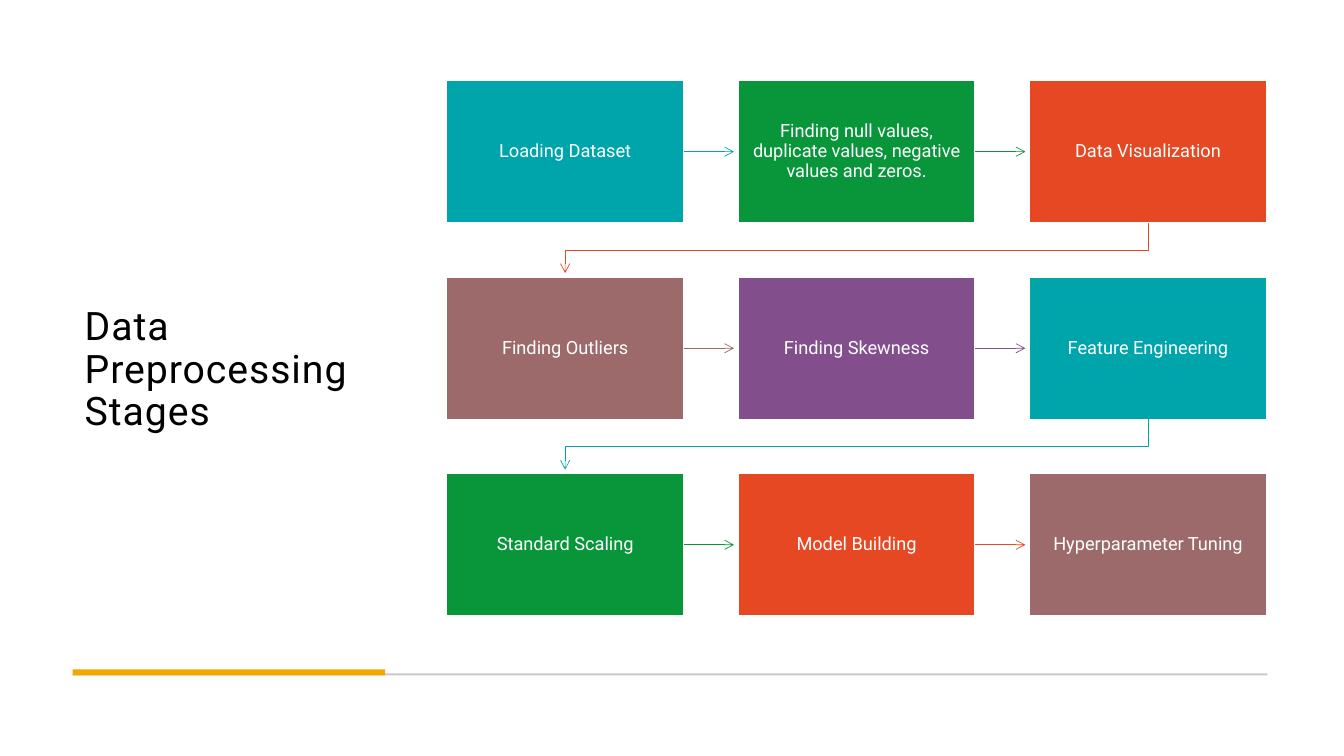
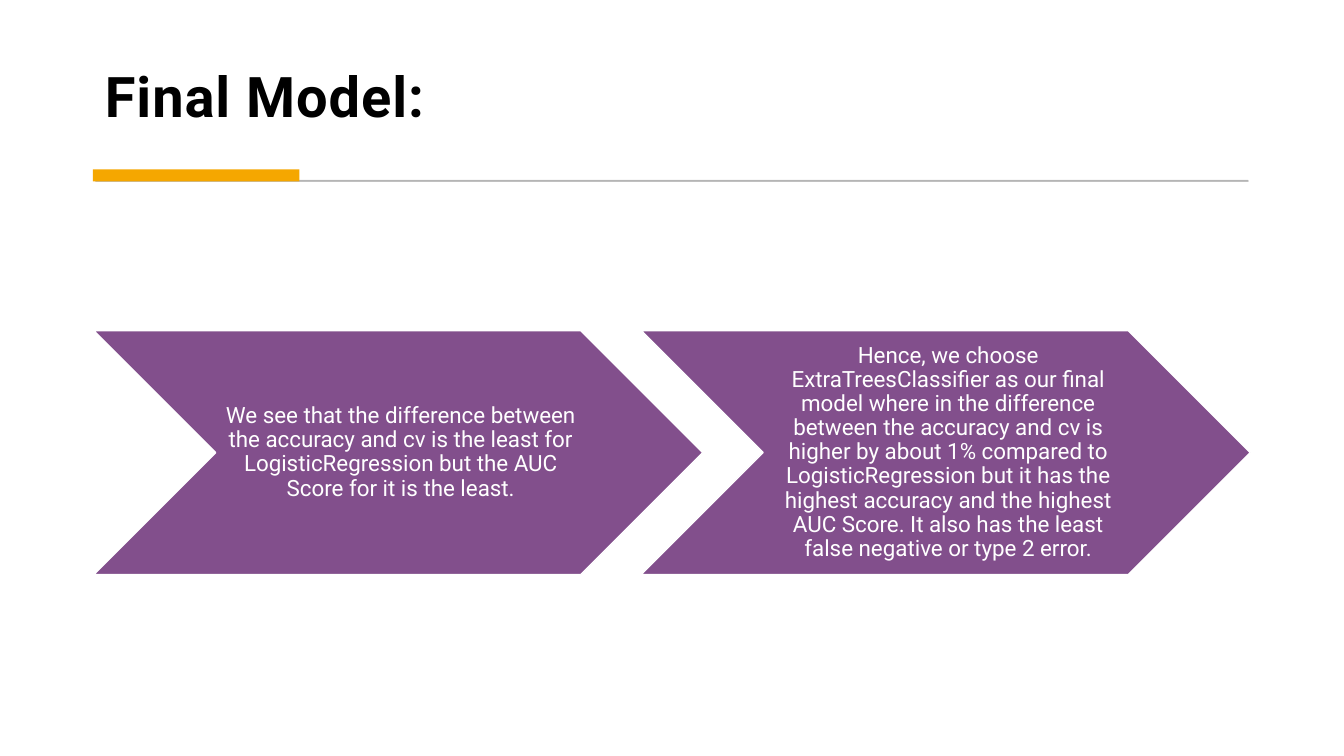
from lxml import etree
from pptx import Presentation
from pptx import util as u
from pptx.dml.color import RGBColor
from pptx.enum import shapes, text
from pptx.oxml.ns import qn

FONT = "Roboto"
BLACK, WHITE, ACCENT = "000000", "FFFFFF", "F5A700"
PURPLE = "824F8C"
STAGE_COLOURS = ["00A5AB", "09963B", "E64823", "9C6A6A", PURPLE]
TITLE_INSETS = (0.12, 0.12, 0.12, 0.1)

STAGES = [
    "Loading Dataset",
    "Finding null values, duplicate values, negative values and zeros.",
    "Data Visualization",
    "Finding Outliers",
    "Finding Skewness",
    "Feature Engineering",
    "Standard Scaling",
    "Model Building",
    "Hyperparameter Tuning",
]
FINDINGS = [
    "We see that the difference between the accuracy and cv is the least for "
    "LogisticRegression but the AUC Score for it is the least.",
    "Hence, we choose ExtraTreesClassifier as our final model where in the difference "
    "between the accuracy and cv is higher by about 1% compared to LogisticRegression "
    "but it has the highest accuracy and the highest AUC Score. It also has the least "
    "false negative or type 2 error.",
]


def rgb(colour):
    return RGBColor.from_string(colour)


def inches(*lengths):
    return [u.Inches(n) for n in lengths]


def write(sp, content, size, colour=WHITE, bold=False, align=text.PP_ALIGN.CENTER,
          anchor=text.MSO_ANCHOR.MIDDLE, insets=(0.12,) * 4, spacing=0):
    """Fill a shape with one paragraph; spacing is in points between letters."""
    tf = sp.text_frame
    tf.word_wrap = True
    tf.vertical_anchor = anchor
    tf.margin_left, tf.margin_top, tf.margin_right, tf.margin_bottom = inches(*insets)
    p = tf.paragraphs[0]
    p.alignment, p.line_spacing = align, 0.9
    r = p.add_run()
    r.text = content
    r.font.name, r.font.size, r.font.bold = FONT, u.Pt(size), bold
    r.font.color.rgb = rgb(colour)
    if spacing:
        r.font._element.set("spc", str(round(spacing * 100)))


def add_block(s, box, fill, line=None, width=1, kind=shapes.MSO_SHAPE.RECTANGLE):
    sp = s.shapes.add_shape(kind, *inches(*box))
    sp.shadow.inherit = False
    sp.fill.solid()
    sp.fill.fore_color.rgb = rgb(fill)
    if line:
        sp.line.color.rgb = rgb(line)
        sp.line.width = u.Pt(width)
    else:
        sp.line.fill.background()
    return sp


def set_alpha(sp, percent):
    for clr in sp._element.spPr.iter(qn("a:srgbClr")):
        etree.SubElement(clr, qn("a:alpha"), val=str(percent * 1000))


def add_title(s, box, content, size, **style):
    write(s.shapes.add_textbox(*inches(*box)), content, size, colour=BLACK,
          align=text.PP_ALIGN.LEFT, insets=TITLE_INSETS, spacing=0.7, **style)


def style_arrow(sp, colour):
    sp.line.color.rgb = rgb(colour)
    sp.line.width = u.Pt(0.5)
    etree.SubElement(sp.line._get_or_add_ln(), qn("a:tailEnd"), type="arrow")


def add_straight_arrow(s, start, end, gap, colour):
    """Arrow from the right side of start to just short of end."""
    y = start.top + start.height // 2
    cx = s.shapes.add_connector(shapes.MSO_CONNECTOR.STRAIGHT, start.left + start.width, y,
                                end.left - gap, y)
    cx.begin_connect(start, 3)
    style_arrow(cx, colour)
    etree.SubElement(cx._element.spPr, qn("a:effectLst"))


def add_return_arrow(s, start, end, gap, colour):
    """Arrow from under start, back along the gutter, to just above end."""
    x1, x2 = (b.left + b.width // 2 for b in (start, end))
    top = start.top + start.height
    middle = (top + end.top) // 2
    fb = s.shapes.build_freeform(x1, top)
    fb.add_line_segments([(x1, middle), (x2, middle), (x2, end.top - gap)], close=False)
    sp = fb.convert_to_shape()
    sp.shadow.inherit = False
    sp.fill.background()
    style_arrow(sp, colour)


def add_stage_grid(s, box, columns=3, gutter=0.54):
    left, top, width, height = box
    rows = len(STAGES) // columns
    w = (width - gutter * (columns - 1)) / columns
    h = (height - gutter * (rows - 1)) / rows
    blocks = []
    for i, stage in enumerate(STAGES):
        row, col = divmod(i, columns)
        cell = (left + col * (w + gutter), top + row * (h + gutter), w, h)
        sp = add_block(s, cell, STAGE_COLOURS[i % len(STAGE_COLOURS)], line=WHITE)
        write(sp, stage, 13)
        blocks.append(sp)
    for i, (start, end) in enumerate(zip(blocks, blocks[1:])):
        add_arrow = add_straight_arrow if (i + 1) % columns else add_return_arrow
        add_arrow(s, start, end, u.Inches(0.04), STAGE_COLOURS[i % len(STAGE_COLOURS)])


def add_chevrons(s, box, overlap=0.61):
    left, top, width, height = box
    w = (width + overlap) / len(FINDINGS)
    for i, finding in enumerate(FINDINGS):
        sp = add_block(s, (left + i * (w - overlap), top, w, height), PURPLE, line=WHITE,
                       kind=shapes.MSO_SHAPE.CHEVRON)
        write(sp, finding, 16, insets=(0.07, 0.02, 0.02, 0.02))


def build_stages_slide(s):
    add_title(s, (0.72, 0.68, 3.1, 5.97), "Data Preprocessing Stages", 28)
    add_block(s, (0.72, 6.68, 11.85, 0.02), "C9C9C9")
    add_block(s, (0.72, 6.64, 3.1, 0.06), ACCENT)
    add_stage_grid(s, (4.43, 0.8, 8.13, 5.31))


def build_model_slide(s):
    add_title(s, (0.92, 0.28, 11.49, 1.11), "Final Model:", 40, bold=True,
              anchor=text.MSO_ANCHOR.BOTTOM)
    rule = add_block(s, (0.95, 1.79, 11.43, 0.01), "595959", line="595959", width=0.75)
    set_alpha(rule, 30)
    add_block(s, (0.92, 1.68, 2.05, 0.12), ACCENT)
    add_chevrons(s, (0.93, 3.28, 11.47, 2.42))


def main():
    prs = Presentation()
    prs.slide_width, prs.slide_height = inches(13.33, 7.5)
    for build in (build_stages_slide, build_model_slide):
        build(prs.slides.add_slide(prs.slide_layouts[6]))
    prs.save("out.pptx")


if __name__ == "__main__":
    main()
